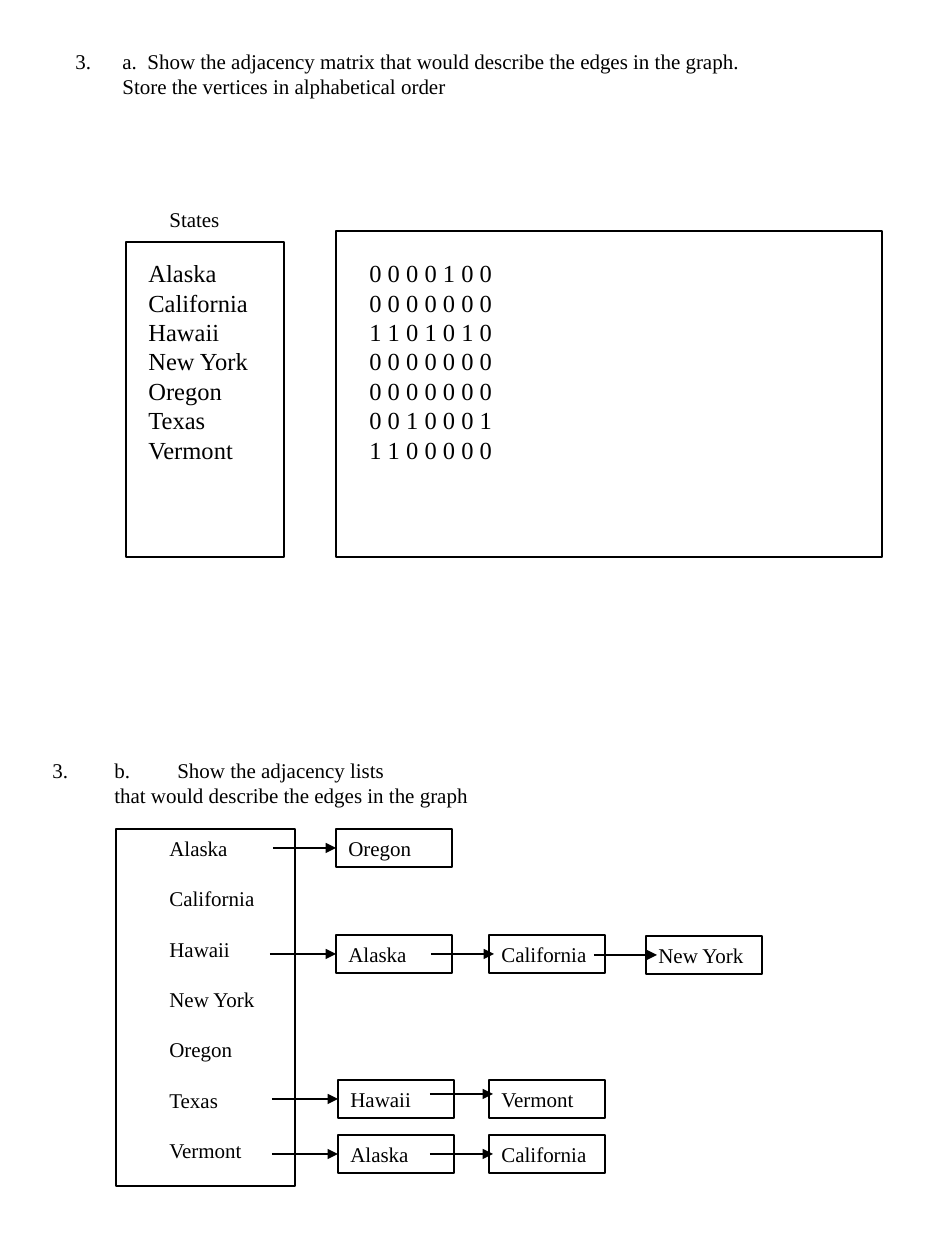
from dataclasses import dataclass
from lxml import etree
from pptx import Presentation, util as u
from pptx.dml.color import RGBColor
from pptx.enum import shapes, text
from pptx.oxml.ns import qn


@dataclass(frozen=True)
class Theme:
    """Colours, font and sizes used on the slide."""
    ink: RGBColor = RGBColor(0, 0, 0)
    face: str = "Times New Roman"
    body: int = 12
    large: int = 14
    thin: float = 0.75
    edge: float = 1


THEME = Theme()
STATES = ["Alaska", "California", "Hawaii", "New York", "Oregon", "Texas", "Vermont"]
MATRIX = ["0000100", "0000000", "1101010", "0000000", "0000000", "0010001", "1100000"]
CHAINS = [
    [("Oregon", 336, 829, 273, 848)],
    [("Alaska", 336, 935, 270, 954), ("California", 489, 935, 431, 954),
     ("New York", 646, 936, 594, 955)],
    [("Hawaii", 338, 1080, 272, 1098), ("Vermont", 489, 1080, 430, 1094)],
    [("Alaska", 338, 1135, 272, 1154), ("California", 489, 1135, 430, 1154)],
]
NODE = (116, 38)
REACH = 63


def px(n):
    """Turn px into EMU."""
    return u.Emu(round(n * 914400 / 126))


def assign(obj, vals):
    """Set each attribute of obj from a dict."""
    for key, val in vals.items():
        setattr(obj, key, val)


def write(shape, lines, size=THEME.body, gap=0):
    """Fill a shape with left-aligned lines of text."""
    frame = shape.text_frame
    assign(frame, {"word_wrap": True, "vertical_anchor": text.MSO_ANCHOR.TOP,
                   "auto_size": text.MSO_AUTO_SIZE.SHAPE_TO_FIT_TEXT})
    for i, line in enumerate(lines):
        para = frame.add_paragraph() if i else frame.paragraphs[0]
        assign(para, {"alignment": text.PP_ALIGN.LEFT,
                      "space_before": u.Pt(gap if i else 0)})
        run = para.add_run()
        run.text = line
        assign(run.font, {"name": THEME.face, "size": u.Pt(size)})
        run.font.color.rgb = THEME.ink
    return frame.paragraphs


def label(tree, box, lines, **style):
    """Add a text box and return its paragraphs."""
    return write(tree.add_textbox(*map(px, box)), lines, **style)


def frame(tree, box, width=THEME.thin):
    """Add an unfilled rectangle."""
    rect = tree.add_shape(shapes.MSO_SHAPE.RECTANGLE, *map(px, box))
    rect.shadow.inherit = False
    rect.fill.background()
    rect.line.color.rgb = THEME.ink
    rect.line.width = u.Pt(width)
    return rect


def indent(para, left, stops=()):
    """Give a paragraph a hanging indent and tab stops."""
    props = para._p.get_or_add_pPr()
    props.set("marL", str(px(left)))
    props.set("indent", str(-px(left)))
    if stops:
        tabs = etree.SubElement(props, qn("a:tabLst"))
        for stop in stops:
            etree.SubElement(tabs, qn("a:tab"), pos=str(px(stop)), algn="l")


def number(para, start):
    """Number a paragraph from the given start."""
    etree.SubElement(para._p.get_or_add_pPr(), qn("a:buAutoNum"),
                     type="arabicPeriod", startAt=str(start))


def arrow(tree, x, y, node=None):
    """Add a right-pointing arrow, joined to a node if one is given."""
    line = tree.add_connector(shapes.MSO_CONNECTOR.STRAIGHT,
                              px(x), px(y), px(x + REACH), px(y))
    if node is not None:
        line.end_connect(node, 1)
        line.begin_y = line.end_y
    line.line.color.rgb = THEME.ink
    line.line.width = u.Pt(THEME.thin)
    etree.SubElement(line.line._get_or_add_ln(), qn("a:tailEnd"), type="triangle")
    etree.SubElement(line._element.spPr, qn("a:effectLst"))


def chain(tree, nodes):
    """Add one adjacency list of nodes and arrows."""
    for i, (name, left, top, x, y) in enumerate(nodes):
        node = frame(tree, (left, top, *NODE), THEME.edge)
        write(node, [name])
        arrow(tree, x, y, None if i else node)


def matrix(tree):
    """Add the question and answer for the adjacency matrix."""
    group = tree.add_group_shape().shapes
    frame(group, (126, 242, 158, 315))
    frame(group, (336, 231, 546, 326))
    label(group, (157, 200, 76, 38), ["States"])
    head = label(tree, (63, 42, 735, 63), [
        "a.  Show the adjacency matrix that would describe the edges in the graph. "
        "Store the vertices in alphabetical order"])[0]
    indent(head, 47)
    number(head, 3)
    label(tree, (136, 252, 136, 246), STATES, size=THEME.large)
    label(tree, (357, 252, 514, 220), map(" ".join, MATRIX), size=THEME.large)


def lists(tree):
    """Add the question and answer for the adjacency lists."""
    head = label(tree, (40, 751, 455, 63), [
        "3.\tb.\tShow the adjacency lists",
        "\tthat would describe the edges in the graph"])
    indent(head[0], 62, (31, 62))
    indent(head[1], 62, (62,))
    frame(tree, (116, 829, 179, 357))
    label(tree, (157, 829, 136, 344), STATES, gap=14.4)
    for nodes in CHAINS:
        chain(tree, nodes)


def main():
    """Build and save the slide."""
    deck = Presentation()
    assign(deck, {"slide_width": px(945), "slide_height": px(1260)})
    tree = deck.slides.add_slide(deck.slide_layouts[6]).shapes
    matrix(tree)
    lists(tree)
    deck.save("out.pptx")


if __name__ == "__main__":
    main()
